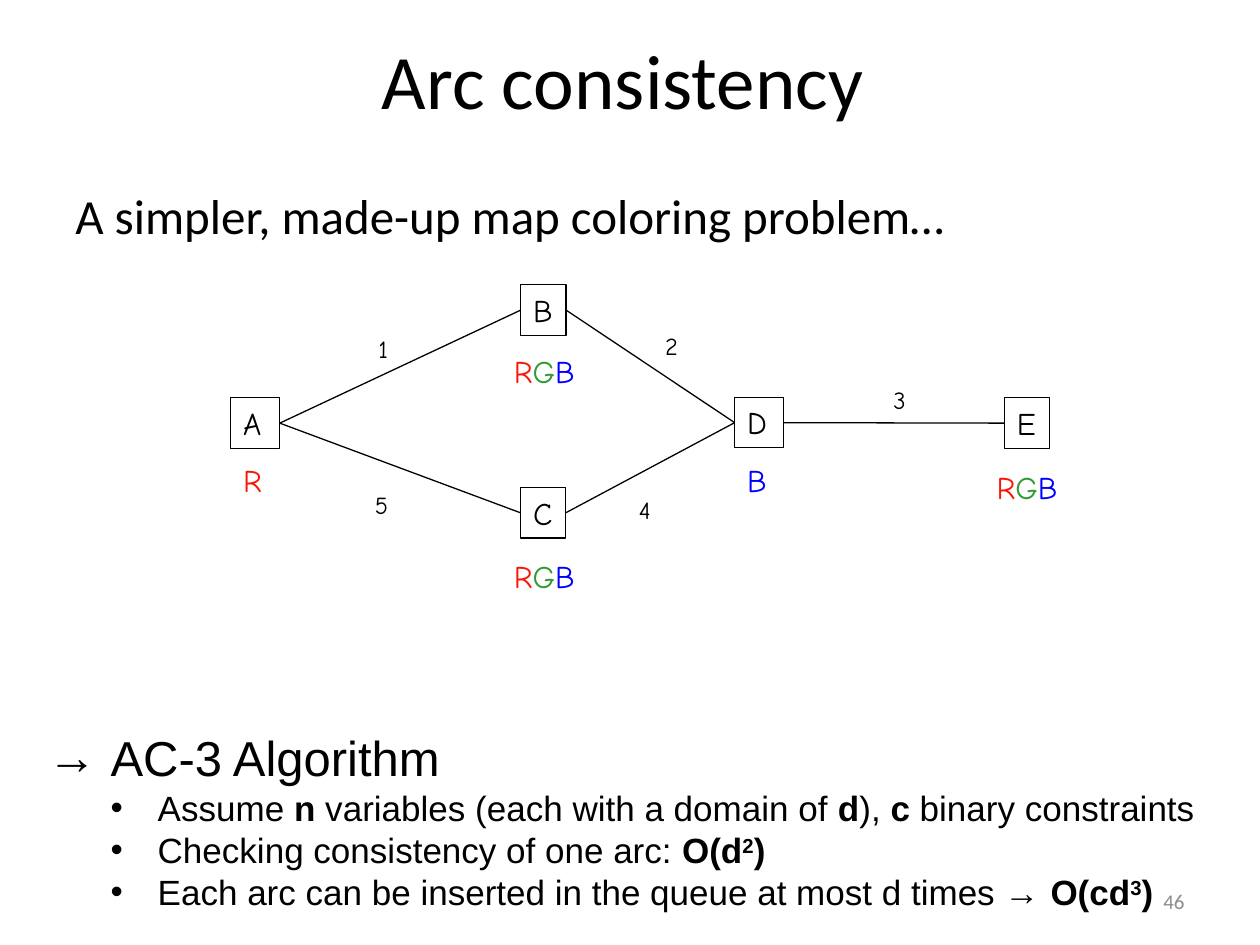
from dataclasses import dataclass

from lxml import etree
from pptx import Presentation, util as u
from pptx.dml.color import RGBColor
from pptx.enum import shapes, text
from pptx.oxml.ns import qn


@dataclass(frozen=True)
class Theme:
    black: str = "000000"
    white: str = "FFFFFF"
    grey: str = "8C8C8C"
    red: str = "F81706"
    green: str = "339933"
    blue: str = "0000FF"
    heading: str = "Calibri"
    body: str = "Arial"
    hand: str = "Comic Neue"
    title_pt: int = 44
    lead_pt: int = 28
    item_pt: int = 20
    node_pt: int = 18
    arc_pt: int = 14
    number_pt: int = 12
    line_pt: float = 0.75


T = Theme()
LEFT, RIGHT = 1, 3  # connection sites of a rectangle
DOMAIN_COLORS = {"R": T.red, "G": T.green, "B": T.blue}

# name: (box left, top, width, height), domain, (domain left, top, width), in cm
NODES = {
    "A": ((4.65, 8.02, 0.99, 1.02), "R", (4.65, 9.17, 0.91)),
    "B": ((10.5, 5.74, 0.91, 1.02), "RGB", (10.11, 6.98, 1.75)),
    "C": ((10.5, 9.83, 0.9, 1.02), "RGB", (10.11, 11.1, 1.75)),
    "D": ((14.81, 8.01, 0.98, 1.02), "B", (14.81, 9.17, 0.91)),
    "E": ((20.25, 8.02, 0.91, 1.02), "RGB", (19.84, 9.32, 1.75)),
}
# from, to, label, label left and top in cm
ARCS = [
    ("A", "B", "1", 7.38, 6.61),
    ("B", "D", "2", 13.16, 6.55),
    ("D", "E", "3", 17.76, 7.64),
    ("C", "D", "4", 12.63, 9.85),
    ("A", "C", "5", 7.31, 9.76),
]
# items as (text, style) runs: "" plain, "b" bold, "^" bold superscript
ITEMS = [
    [("Assume ", ""), ("n", "b"), (" variables (each with a domain of ", ""),
     ("d", "b"), ("), ", ""), ("c", "b"), (" binary constraints", "")],
    [("Checking consistency of one arc: ", ""), ("O(d", "b"), ("2", "^"), (")", "b")],
    [("Each arc can be inserted in the queue at most d times → ", ""),
     ("O(cd", "b"), ("3", "^"), (")", "b")],
]


class Deck:
    def __init__(self, theme):
        self.t = theme
        self.prs = Presentation()
        self.prs.slide_width, self.prs.slide_height = u.Cm(25.4), u.Cm(19.05)
        self.s = None

    def add_slide(self):
        self.s = self.prs.slides.add_slide(self.prs.slide_layouts[5])

    def run(self, p, words, name, size, color=None, bold=False, raised=False):
        r = p.add_run()
        r.text = words
        for key, value in {"name": name, "size": u.Pt(size), "bold": bold}.items():
            setattr(r.font, key, value)
        r.font.color.rgb = RGBColor.from_string(color or self.t.black)
        if raised:
            r._r.get_or_add_rPr().set("baseline", "30000")

    def title(self, words, *box):
        sp = self.s.shapes.title
        for key, value in zip(("left", "top", "width", "height"), box):
            setattr(sp, key, u.Cm(value))
        sp.text_frame.vertical_anchor = text.MSO_ANCHOR.MIDDLE
        p = sp.text_frame.paragraphs[0]
        p.alignment = text.PP_ALIGN.CENTER
        self.run(p, words, self.t.heading, self.t.title_pt)

    def textbox(self, *box, **frame):
        """Add an empty text box; frame holds text frame settings."""
        tf = self.s.shapes.add_textbox(*map(u.Cm, box)).text_frame
        for key, value in {"word_wrap": True, **frame}.items():
            setattr(tf, key, value)
        return tf

    def node(self, name, box):
        sp = self.s.shapes.add_shape(shapes.MSO_SHAPE.RECTANGLE, *map(u.Cm, box))
        sp.shadow.inherit = False
        sp.fill.solid()
        sp.fill.fore_color.rgb = RGBColor.from_string(self.t.white)
        sp.line.color.rgb = RGBColor.from_string(self.t.black)
        sp.line.width = u.Pt(self.t.line_pt)
        tf = sp.text_frame
        tf.word_wrap, tf.vertical_anchor = False, text.MSO_ANCHOR.TOP
        tf.paragraphs[0].alignment = text.PP_ALIGN.LEFT
        self.run(tf.paragraphs[0], name, self.t.hand, self.t.node_pt)
        return sp

    def domain(self, values, left, top, width):
        tf = self.textbox(left, top, width, 1.02, word_wrap=False)
        for value in values:
            self.run(tf.paragraphs[0], value, self.t.hand, self.t.node_pt,
                     DOMAIN_COLORS[value])

    def arc(self, start, end, label, left, top):
        cx = self.s.shapes.add_connector(shapes.MSO_CONNECTOR.STRAIGHT, 0, 0, 0, 0)
        cx.begin_connect(start, RIGHT)
        cx.end_connect(end, LEFT)
        cx.line.color.rgb = RGBColor.from_string(self.t.black)
        cx.line.width = u.Pt(self.t.line_pt)
        etree.SubElement(cx._element.spPr, qn("a:effectLst"))
        tf = self.textbox(left, top, 0.8, 0.86, word_wrap=False)
        self.run(tf.paragraphs[0], label, self.t.hand, self.t.arc_pt)

    def bullet(self, p, mark, margin, hang):
        pPr = p._p.get_or_add_pPr()
        pPr.set("marL", str(u.Cm(margin)))
        pPr.set("indent", str(-u.Cm(hang)))
        etree.SubElement(pPr, qn("a:buFont")).set("typeface", self.t.body)
        etree.SubElement(pPr, qn("a:buChar")).set("char", mark)

    def outline(self, heading, items, *box):
        tf = self.textbox(*box)
        p = tf.paragraphs[0]
        self.bullet(p, "→", 1.27, 1.27)
        self.run(p, heading, self.t.body, self.t.lead_pt)
        for item in items:
            p = tf.add_paragraph()
            p.level = 1
            self.bullet(p, "•", 2.22, 0.95)
            for words, style in item:
                self.run(p, words, self.t.body, self.t.item_pt,
                         bold=style != "", raised=style == "^")


def main():
    deck = Deck(T)
    deck.add_slide()
    deck.title("Arc consistency ", 1.3, 0, 22.86, 3.18)
    lead = deck.textbox(1.27, 3.61, 23.06, 1.57)
    deck.run(lead.paragraphs[0], "A simpler, made-up map coloring problem…",
             T.heading, T.lead_pt)

    boxes = {name: deck.node(name, box) for name, (box, _, _) in NODES.items()}
    for _, values, place in NODES.values():
        deck.domain(values, *place)
    for start, end, *label in ARCS:
        deck.arc(boxes[start], boxes[end], *label)

    deck.outline("AC-3 Algorithm", ITEMS, 0.71, 14.55, 24.16, 4.01)
    number = deck.textbox(18.21, 17.65, 5.92, 1.02,
                          vertical_anchor=text.MSO_ANCHOR.MIDDLE)
    number.paragraphs[0].alignment = text.PP_ALIGN.RIGHT
    deck.run(number.paragraphs[0], "46", T.heading, T.number_pt, T.grey)
    deck.prs.save("out.pptx")


if __name__ == "__main__":
    main()
